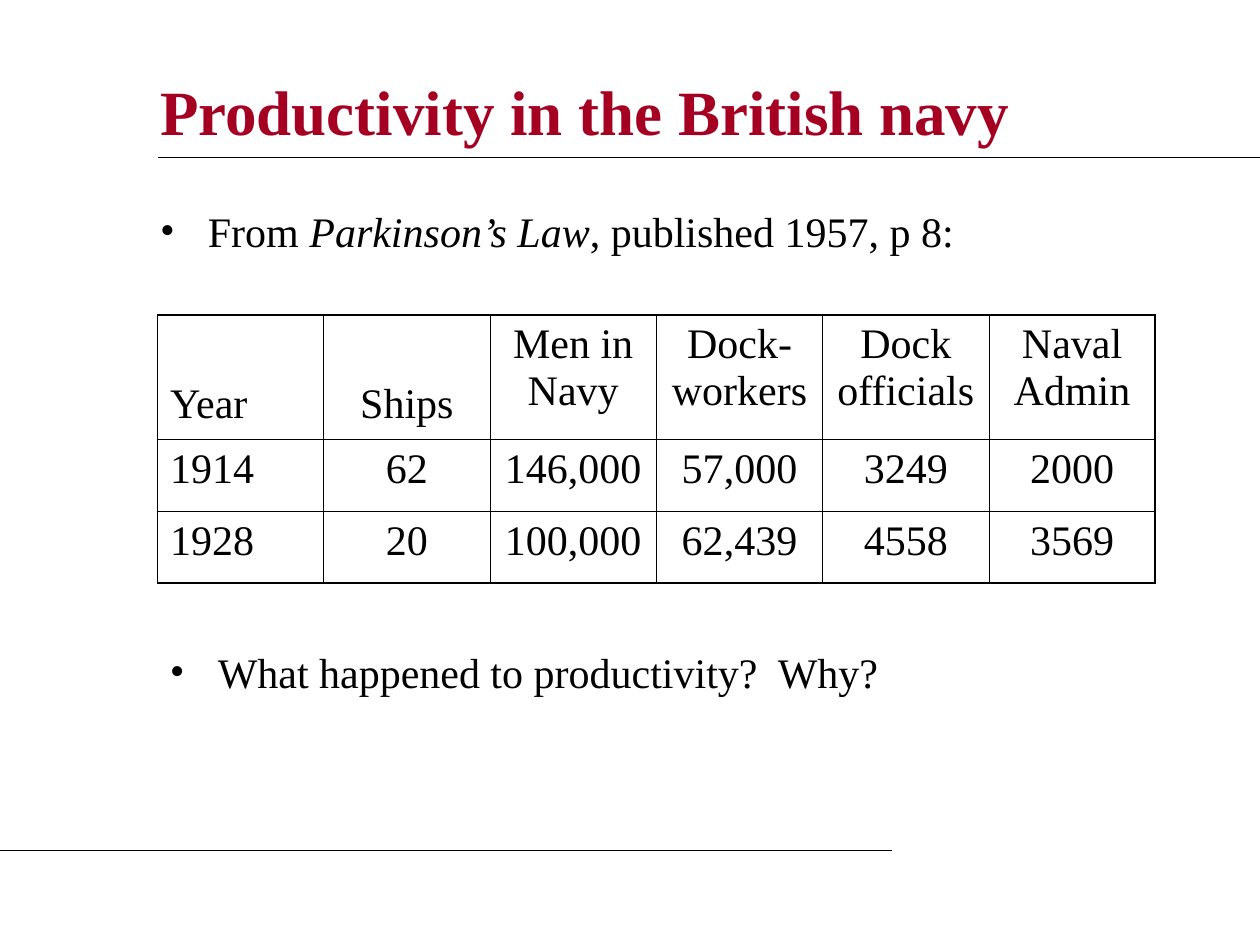
from pptx import Presentation
from pptx.dml.color import RGBColor
from pptx.enum.shapes import MSO_CONNECTOR
from pptx.enum.text import MSO_ANCHOR, MSO_AUTO_SIZE, PP_ALIGN
from pptx.oxml.ns import qn
from pptx.util import Inches, Pt
from lxml.etree import SubElement

BLACK = RGBColor(0x00, 0x00, 0x00)
CRIMSON = RGBColor(0xA5, 0x00, 0x21)
FONT = "Times New Roman"


def add_text(p, text, size=24, color=BLACK, bold=False, italic=False, align=PP_ALIGN.LEFT):
    p.alignment = align
    r = p.add_run()
    r.text = text
    r.font.name = FONT
    r.font.size = Pt(size)
    r.font.bold = bold
    r.font.italic = italic
    r.font.color.rgb = color


def add_bullet(p, indent=0.38):
    pPr = p._p.get_or_add_pPr()
    pPr.set("marL", str(Inches(indent)))
    pPr.set("indent", str(Inches(-indent)))
    SubElement(SubElement(pPr, qn("a:buClr")), qn("a:srgbClr"), val=str(BLACK))
    SubElement(pPr, qn("a:buFont"), typeface=FONT)
    SubElement(pPr, qn("a:buChar"), char="•")
    p.space_before = Pt(0)
    p.line_spacing = 1.0


prs = Presentation()
prs.slide_width, prs.slide_height = Inches(10), Inches(7.5)
s = prs.slides.add_slide(prs.slide_layouts[1])

title, body = s.placeholders
question = s.shapes.add_textbox(Inches(1.25), Inches(5.08), Inches(8.08), Inches(0.67))
title.left, title.top, title.width, title.height = Inches(1.17), Inches(0.5), Inches(8.08), Inches(0.75)
body.left, body.top, body.width, body.height = Inches(1.17), Inches(1.58), Inches(8.08), Inches(0.67)
for sp in (title, body, question):
    sp.text_frame.word_wrap = True
    sp.text_frame.auto_size = MSO_AUTO_SIZE.NONE

title.text_frame.vertical_anchor = MSO_ANCHOR.MIDDLE
add_text(title.text_frame.paragraphs[0], "Productivity in the British navy", size=36, color=CRIMSON, bold=True)

p = body.text_frame.paragraphs[0]
add_bullet(p)
add_text(p, "From ")
add_text(p, "Parkinson’s Law", italic=True)
add_text(p, ", published 1957, p 8:")

p = question.text_frame.paragraphs[0]
add_bullet(p)
add_text(p, "What happened to productivity?  Why?")

for x1, x2, y in ((1.25, 10, 1.25), (0, 7.08, 6.75)):
    line = s.shapes.add_connector(MSO_CONNECTOR.STRAIGHT, Inches(x1), Inches(y), Inches(x2), Inches(y))
    line.line.color.rgb = BLACK
    line.line.width = Pt(0.75)
    SubElement(line._element.spPr, qn("a:effectLst"))

rows = [
    ["Year", "Ships", "Men in Navy", "Dock-workers", "Dock officials", "Naval Admin"],
    ["1914", "62", "146,000", "57,000", "3249", "2000"],
    ["1928", "20", "100,000", "62,439", "4558", "3569"],
]
heights = [0.99, 0.57, 0.57]
last_row, last_col = len(rows) - 1, len(rows[0]) - 1
table = s.shapes.add_table(len(rows), len(rows[0]), Inches(1.25), Inches(2.5), Inches(7.92), Inches(2.13)).table
table.first_row = table.horz_banding = False
for col in table.columns:
    col.width = Inches(1.32)

for i, values in enumerate(rows):
    table.rows[i].height = Inches(heights[i])
    for j, value in enumerate(values):
        cell = table.cell(i, j)
        add_text(cell.text_frame.paragraphs[0], value, align=PP_ALIGN.CENTER if j else PP_ALIGN.LEFT)
        if i == 0 and j < 2:
            cell.vertical_anchor = MSO_ANCHOR.BOTTOM
            cell.margin_bottom = Inches(0.1)
        tcPr = cell._tc.get_or_add_tcPr()
        outer = {"a:lnL": j == 0, "a:lnR": j == last_col, "a:lnT": i == 0, "a:lnB": i == last_row}
        for side, is_outer in outer.items():
            ln = SubElement(tcPr, qn(side), w=str(Pt(1.08 if is_outer else 0.45)))
            SubElement(SubElement(ln, qn("a:solidFill")), qn("a:srgbClr"), val=str(BLACK))
        cell.fill.background()

prs.save("out.pptx")
